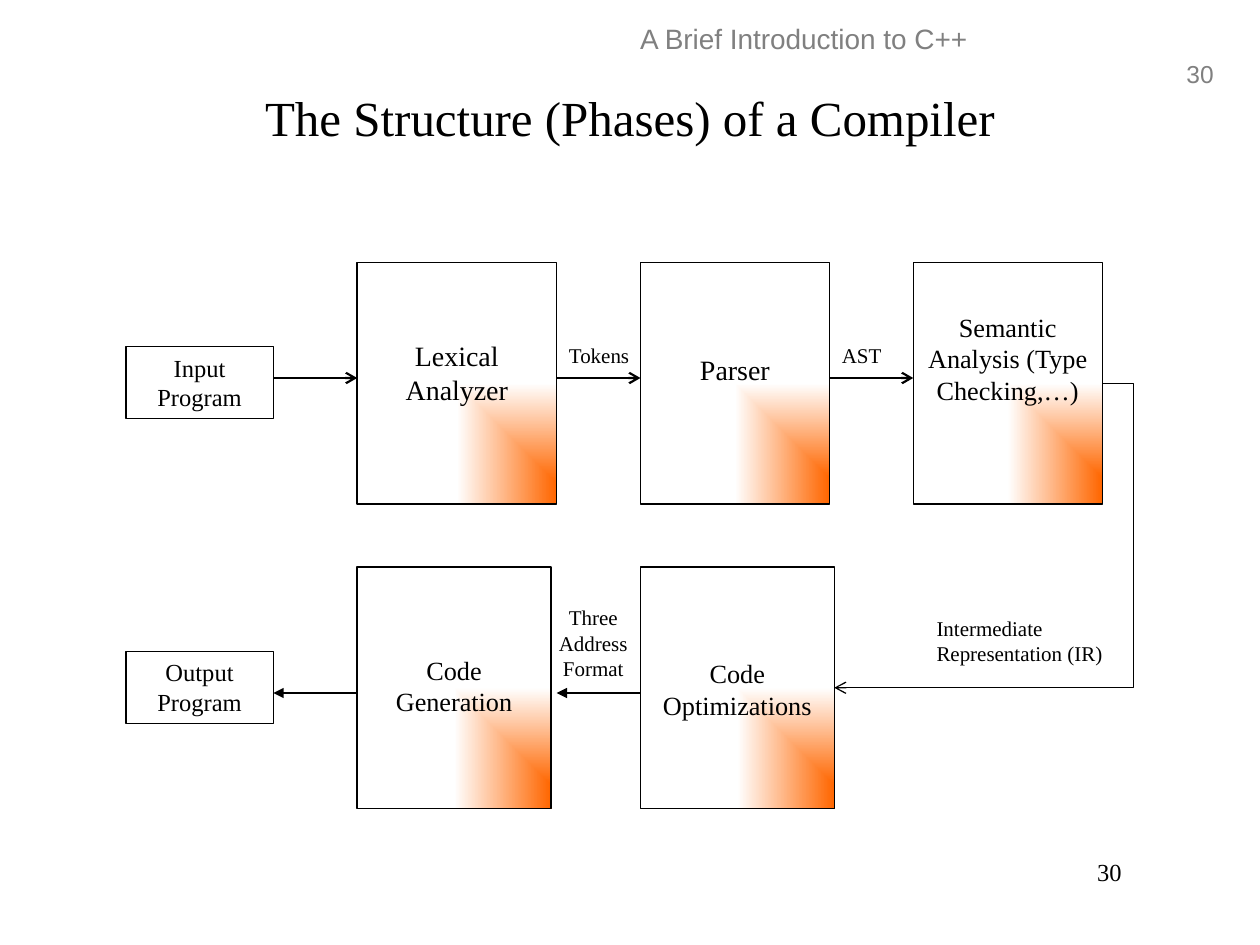
import lxml.etree
import pptx
import pptx.dml.color
import pptx.enum.shapes
import pptx.enum.text
import pptx.oxml
import pptx.oxml.ns
import pptx.util

Cm = pptx.util.Cm
qn = pptx.oxml.ns.qn
ALIGN = pptx.enum.text.PP_ALIGN
ANCHOR = pptx.enum.text.MSO_ANCHOR
CONNECTOR = pptx.enum.shapes.MSO_CONNECTOR

BLACK = pptx.dml.color.RGBColor(0x00, 0x00, 0x00)
GRAY = pptx.dml.color.RGBColor(0x80, 0x80, 0x80)
ORANGE = pptx.dml.color.RGBColor(0xFF, 0x66, 0x00)
WHITE = pptx.dml.color.RGBColor(0xFF, 0xFF, 0xFF)

SERIF = "Times New Roman"
SANS = "Arial"

TERMINAL_LEFT, LEXER_LEFT, PARSER_LEFT, SEMANTIC_LEFT = 2.54, 7.2, 12.91, 18.41
FRONT_TOP, BACK_TOP = 5.29, 11.43
PHASE_HEIGHT = 4.87
TERMINAL_WIDTH, TERMINAL_HEIGHT = 2.97, 1.45
FRONT_FLOW, BACK_FLOW = 7.62, 13.97
FLOW_LENGTH = 1.69


class CompilerSlide:
    def __init__(self, slide):
        self.slide = slide
        self.shapes = slide.shapes

    def set_text(self, frame, text, size, align, face=SERIF, color=BLACK):
        frame.text = text
        for paragraph in frame.paragraphs:
            paragraph.alignment = align
            formats = {"name": face, "size": pptx.util.Pt(size)}
            for attribute, value in formats.items():
                setattr(paragraph.font, attribute, value)
            paragraph.font.color.rgb = color

    def title(self, text, box, size):
        heading = self.shapes.title
        for attribute, value in zip(("left", "top", "width", "height"), box):
            setattr(heading, attribute, Cm(value))
        heading.text_frame.vertical_anchor = ANCHOR.MIDDLE
        self.set_text(heading.text_frame, text, size, ALIGN.CENTER)

    def label(self, text, box, size, align=ALIGN.CENTER, wrap=True, **look):
        frame = self.shapes.add_textbox(*map(Cm, box)).text_frame
        frame.word_wrap = wrap
        self.set_text(frame, text, size, align, **look)

    def rectangle(self, box):
        kind = pptx.enum.shapes.MSO_SHAPE.RECTANGLE
        outline = self.shapes.add_shape(kind, *map(Cm, box))
        outline.shadow.inherit = False
        outline.line.color.rgb = BLACK
        outline.line.width = pptx.util.Pt(0.75)
        return outline

    def terminal(self, text, top):
        box = TERMINAL_LEFT, top, TERMINAL_WIDTH, TERMINAL_HEIGHT
        outline = self.rectangle(box)
        outline.fill.background()
        outline.text_frame.word_wrap = True
        outline.text_frame.vertical_anchor = ANCHOR.TOP
        self.set_text(outline.text_frame, text, 14, ALIGN.CENTER)

    def phase(self, text, left, top, width, text_top, text_height, size):
        outline = self.rectangle((left, top, width, PHASE_HEIGHT))
        outline.fill.gradient()
        for stop, color in zip(outline.fill.gradient_stops, (ORANGE, WHITE)):
            stop.color.rgb = color
        gradient = outline.element.spPr.find(qn("a:gradFill"))
        gradient.remove(gradient.find(qn("a:lin")))
        corner = lxml.etree.SubElement(gradient, qn("a:path"), {"path": "rect"})
        lxml.etree.SubElement(corner, qn("a:fillToRect"), l="100000", t="100000")
        self.label(text, (left, text_top, width, text_height), size)
        return outline

    def connector(self, kind, start, end, width, arrow):
        flow = self.shapes.add_connector(kind, *map(Cm, start + end))
        flow.line.color.rgb = BLACK
        flow.line.width = pptx.util.Pt(width)
        properties = flow.element.spPr
        stroke = properties.find(qn("a:ln"))
        lxml.etree.SubElement(stroke, qn("a:tailEnd"), type=arrow)
        lxml.etree.SubElement(properties, qn("a:effectLst"))
        return flow

    def arrow(self, start, end, y, head):
        self.connector(CONNECTOR.STRAIGHT, (start, y), (end, y), 1.25, head)

    def detour(self, source, target, bend):
        flow = self.connector(CONNECTOR.ELBOW, (22.23, 7.72), (16.82, 13.87), 0.75, "arrow")
        flow.begin_connect(source, 3)
        flow.end_connect(target, 3)
        guides = flow.element.spPr.find(qn("a:prstGeom")).get_or_add_avLst()
        lxml.etree.SubElement(guides, qn("a:gd"), name="adj1", fmla=f"val {bend}")


def main():
    deck = pptx.Presentation()
    deck.slide_width, deck.slide_height = Cm(25.4), Cm(19.05)
    page = CompilerSlide(deck.slides.add_slide(deck.slide_layouts[5]))

    page.label("30", (23.6, 1.07, 1.12, 0.84), 14, ALIGN.RIGHT, False, face=SANS, color=GRAY)
    page.label("A Brief Introduction to C++", (8.1, 0.3, 16.21, 1.02), 16, face=SANS, color=GRAY)
    page.title("The Structure (Phases) of a Compiler", (1.27, 0.76, 22.86, 3.18), 28)

    page.phase("Code\nGeneration", LEXER_LEFT, BACK_TOP, 3.91, 13.06, 1.55, 15)
    optimizer = page.phase("Code Optimizations", PARSER_LEFT, BACK_TOP, 3.91, 13.13, 1.55, 15)
    semantic = page.phase("Semantic Analysis (Type Checking,…)",
                          SEMANTIC_LEFT, FRONT_TOP, 3.81, 6.15, 2.18, 15)
    page.phase("Lexical Analyzer", LEXER_LEFT, FRONT_TOP, 4.02, 6.71, 1.55, 16)
    page.phase("Parser", PARSER_LEFT, FRONT_TOP, 3.81, 6.99, 0.94, 16)
    page.terminal("Input Program", 6.99)
    page.terminal("Output\nProgram", 13.13)

    for target in (LEXER_LEFT, PARSER_LEFT, SEMANTIC_LEFT):
        page.arrow(target - FLOW_LENGTH, target, FRONT_FLOW, "arrow")
    for source in (LEXER_LEFT, PARSER_LEFT):
        page.arrow(source, source - FLOW_LENGTH, BACK_FLOW, "triangle")
    page.detour(semantic, optimizer, -11800)

    page.label("Tokens", (11.22, 6.78, 1.75, 0.76), 12, ALIGN.LEFT, False)
    page.label("AST", (16.72, 6.78, 1.35, 0.76), 12, ALIGN.LEFT, False)
    page.label("Intermediate Representation (IR)", (18.63, 12.28, 4.02, 1.27), 12, ALIGN.LEFT)
    page.label("Three\nAddress\nFormat", (11.01, 12.07, 1.9, 1.8), 12)
    page.label("30", (17.57, 17.15, 5.29, 1.27), 14, ALIGN.RIGHT)

    deck.save("out.pptx")


if __name__ == "__main__":
    main()
